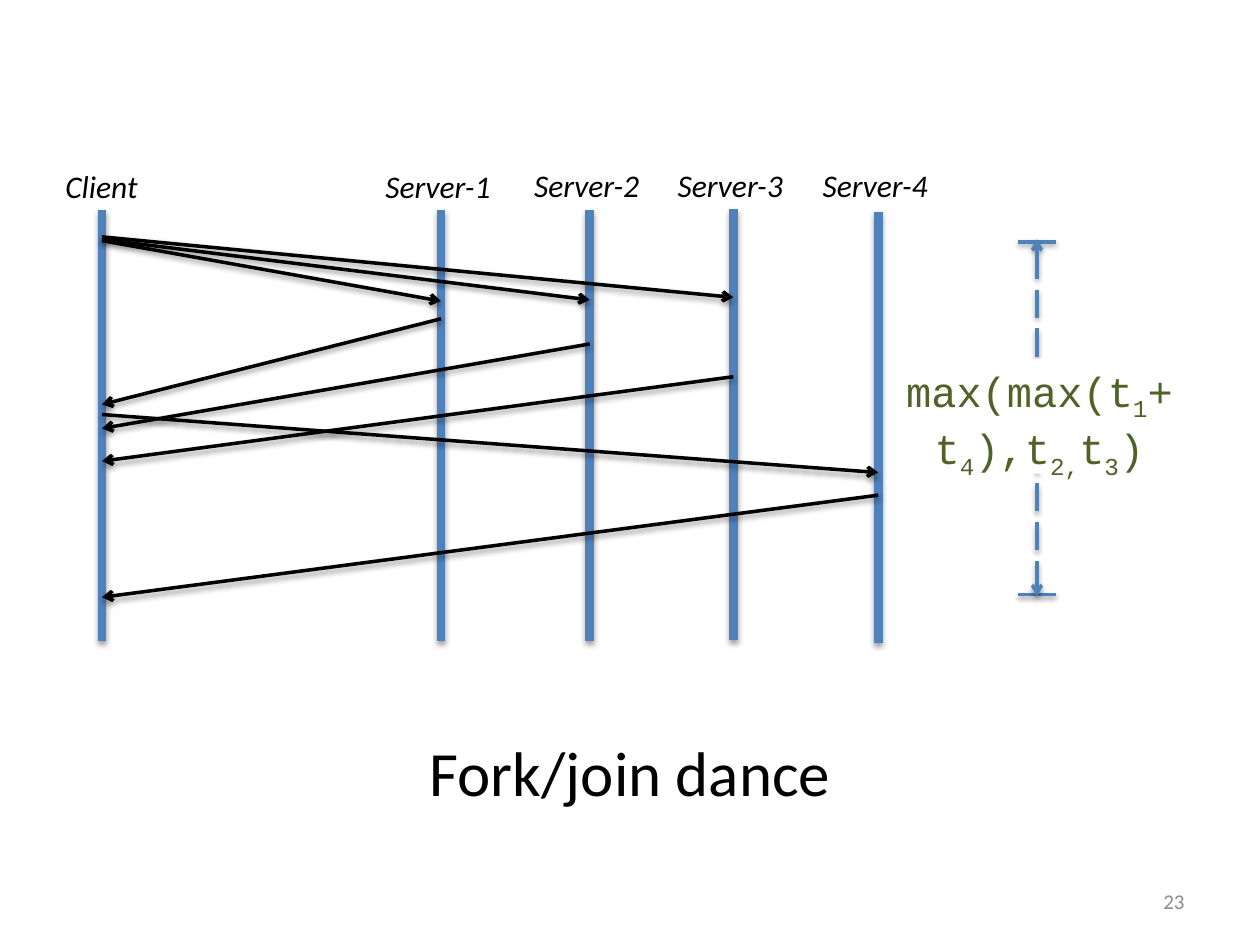
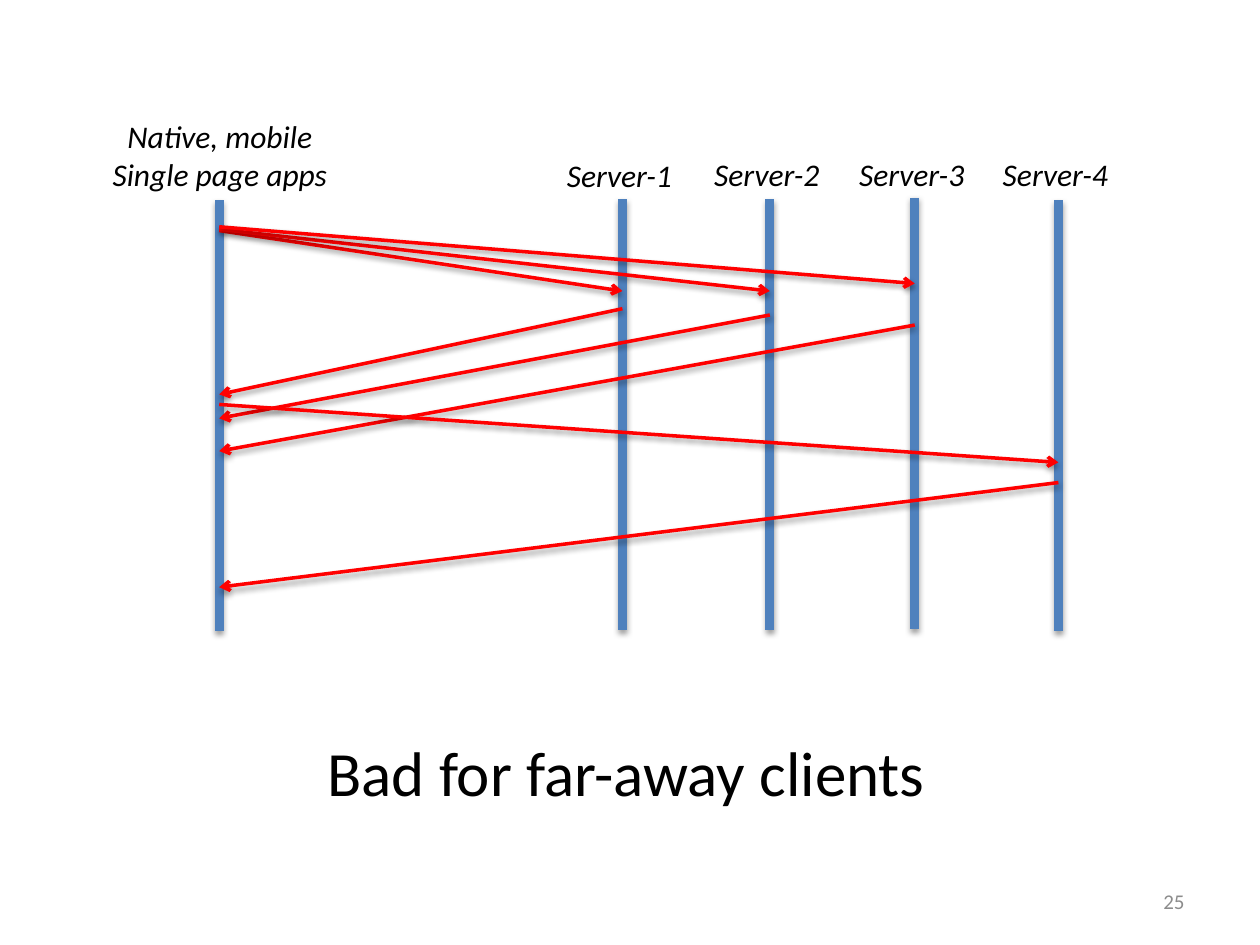
from dataclasses import dataclass

from lxml.etree import SubElement
from pptx import Presentation
from pptx.dml.color import RGBColor
from pptx.enum.dml import MSO_LINE_DASH_STYLE as Dash
from pptx.enum.shapes import MSO_CONNECTOR as Connector, MSO_SHAPE as Shape
from pptx.enum.text import MSO_ANCHOR as Anchor, PP_ALIGN as Align
from pptx.oxml.ns import qn
from pptx.util import Inches, Pt

BLUE, BLACK, RED = "4F81BD", "000000", "FF0000"
WHITE, GREEN, GRAY = "FFFFFF", "4F6228", "8C8C8C"
SANS, MONO = "Calibri", "Courier New"
TITLE_ONLY = 5
LIFELINE_LENGTH = 3.42
SERVER_LABEL_WIDTH = 1.11
LINE_HEIGHT = 0.31


@dataclass
class Lifeline:
    label: str
    x: float
    top: float
    label_left: float
    label_top: float
    label_width: float = SERVER_LABEL_WIDTH


@dataclass
class Message:
    """An arrow between two lifelines, given by their positions in the diagram."""
    sender: int
    receiver: int
    sent: float
    received: float


@dataclass
class Diagram:
    title: str
    title_left: float
    number: str
    color: str
    lifelines: list[Lifeline]
    messages: list[Message]


def servers(xs: list[float], tops: list[float], label_tops: list[float]) -> list[Lifeline]:
    return [Lifeline(f"Server-{number}", x, top, x - 0.54, label_top)
            for number, (x, top, label_top) in enumerate(zip(xs, tops, label_tops), 1)]


FORK_JOIN = Diagram(
    "Fork/join dance", 0.5, "23", BLACK,
    [Lifeline("Client", 0.81, 1.67, 0.42, 1.28, 0.85)]
    + servers([3.5, 4.68, 5.82, 6.97], [1.67, 1.67, 1.66, 1.68], [1.28, 1.27, 1.27, 1.27]),
    [Message(0, 1, 1.91, 2.39), Message(0, 2, 1.9, 2.38), Message(2, 0, 2.73, 3.4),
     Message(0, 3, 1.88, 2.36), Message(3, 0, 2.99, 3.66), Message(4, 0, 3.93, 4.74),
     Message(1, 0, 2.53, 3.21), Message(0, 4, 3.29, 3.75)],
)
FAR_AWAY = Diagram(
    "Bad for far-away clients", 0.47, "25", RED,
    [Lifeline("Native, mobile\nSingle page apps", 1.74, 1.59, 0.75, 0.88, 1.99)]
    + servers([4.94, 6.11, 7.26, 8.4], [1.58, 1.58, 1.57, 1.59], [1.19, 1.18, 1.18, 1.18]),
    [Message(0, 1, 1.83, 2.31), Message(0, 2, 1.82, 2.31), Message(2, 0, 2.5, 3.32),
     Message(0, 3, 1.8, 2.25), Message(3, 0, 2.58, 3.58), Message(4, 0, 3.83, 4.66),
     Message(1, 0, 2.45, 3.13), Message(0, 4, 3.21, 3.67)],
)
# Each line holds pairs of normal text and the subscript that follows it.
FORMULA = [[("max(max(t", "1"), ("+", "")],
           [("t", "4"), ("),t", "2,"), ("t", "3"), (")", "")]]


def rgb(color: str) -> RGBColor:
    return RGBColor.from_string(color)


def set_font(paragraph, size: float, color: str, name: str = SANS, italic: bool = False) -> None:
    font = paragraph.font
    font.name, font.size, font.italic = name, Pt(size), italic
    font.color.rgb = rgb(color)


def add_shadow(connector) -> None:
    effects = SubElement(connector._element.spPr, qn("a:effectLst"))
    shadow = SubElement(effects, qn("a:outerShdw"), blurRad=str(Pt(3.1)), dist=str(Pt(1.6)),
                        dir="5400000", rotWithShape="0")
    color = SubElement(shadow, qn("a:srgbClr"), val=BLACK)
    SubElement(color, qn("a:alpha"), val="38000")


def add_line(slide, start: tuple[float, float], end: tuple[float, float], color: str,
             width: float = 2, arrows: tuple[str, ...] = (), dash=None) -> None:
    """Draw a shadowed line; arrows names the ends to point: headEnd, tailEnd."""
    connector = slide.shapes.add_connector(
        Connector.STRAIGHT, *(Inches(value) for value in (*start, *end)))
    line = connector.line
    line.color.rgb = rgb(color)
    line.width = Pt(width)
    if dash is not None:
        line.dash_style = dash
    for arrow in arrows:
        SubElement(connector._element.spPr.find(qn("a:ln")), qn(f"a:{arrow}"), type="arrow")
    add_shadow(connector)


def add_text(slide, text: str, left: float, top: float, width: float, height: float):
    box = slide.shapes.add_textbox(*(Inches(value) for value in (left, top, width, height)))
    box.text_frame.text = text
    return box.text_frame


def add_lifeline(slide, lifeline: Lifeline) -> None:
    add_line(slide, (lifeline.x, lifeline.top), (lifeline.x, lifeline.top + LIFELINE_LENGTH),
             BLUE, width=5)
    height = 0.4 + LINE_HEIGHT * lifeline.label.count("\n")
    frame = add_text(slide, lifeline.label, lifeline.label_left, lifeline.label_top,
                     lifeline.label_width, height)
    frame.word_wrap = False
    for paragraph in frame.paragraphs:
        paragraph.alignment = Align.CENTER if len(frame.paragraphs) > 1 else Align.LEFT
        set_font(paragraph, 18, BLACK, italic=True)


def add_message(slide, message: Message, lifelines: list[Lifeline], color: str) -> None:
    add_line(slide, (lifelines[message.sender].x, message.sent),
             (lifelines[message.receiver].x, message.received), color, arrows=("tailEnd",))


def add_formula(slide) -> None:
    box = slide.shapes.add_shape(
        Shape.RECTANGLE, Inches(6.98), Inches(2.85), Inches(2.54), Inches(0.91))
    box.shadow.inherit = False
    box.fill.solid()
    box.fill.fore_color.rgb = rgb(WHITE)
    box.line.fill.background()
    frame = box.text_frame
    frame.word_wrap = True
    frame.vertical_anchor = Anchor.TOP
    for index, parts in enumerate(FORMULA):
        paragraph = frame.add_paragraph() if index else frame.paragraphs[0]
        paragraph.alignment = Align.CENTER
        set_font(paragraph, 24, GREEN, MONO)
        for normal, subscript in parts:
            paragraph.add_run().text = normal
            if subscript:
                run = paragraph.add_run()
                run.text = subscript
                run._r.get_or_add_rPr().set("baseline", "-25000")


def add_total_time(slide) -> None:
    """Draw the time span beside the diagram, with its formula."""
    middle = 8.23
    for y in (1.92, 4.72):
        add_line(slide, (middle - 0.15, y), (middle + 0.15, y), BLUE)
    add_line(slide, (middle, 1.9), (middle, 4.73), BLUE,
             arrows=("headEnd", "tailEnd"), dash=Dash.LONG_DASH)
    add_formula(slide)


def add_title(slide, text: str, left: float) -> None:
    title = slide.shapes.title
    title.left, title.top = Inches(left), Inches(5.5)
    title.width, title.height = Inches(9), Inches(1.25)
    title.text_frame.text = text
    title.text_frame.vertical_anchor = Anchor.MIDDLE
    paragraph = title.text_frame.paragraphs[0]
    paragraph.alignment = Align.CENTER
    set_font(paragraph, 36, BLACK)


def add_number(slide, number: str) -> None:
    frame = add_text(slide, number, 7.17, 6.95, 2.33, 0.4)
    frame.word_wrap = True
    frame.vertical_anchor = Anchor.MIDDLE
    frame.paragraphs[0].alignment = Align.RIGHT
    set_font(frame.paragraphs[0], 12, GRAY)


def add_diagram_slide(presentation, diagram: Diagram):
    slide = presentation.slides.add_slide(presentation.slide_layouts[TITLE_ONLY])
    add_title(slide, diagram.title, diagram.title_left)
    add_number(slide, diagram.number)
    if diagram is FORK_JOIN:
        add_total_time(slide)
    for lifeline in diagram.lifelines:
        add_lifeline(slide, lifeline)
    for message in diagram.messages:
        add_message(slide, message, diagram.lifelines, diagram.color)


def main() -> None:
    presentation = Presentation()
    presentation.slide_width, presentation.slide_height = Inches(10), Inches(7.5)
    for diagram in (FORK_JOIN, FAR_AWAY):
        add_diagram_slide(presentation, diagram)
    presentation.save("out.pptx")


if __name__ == "__main__":
    main()
